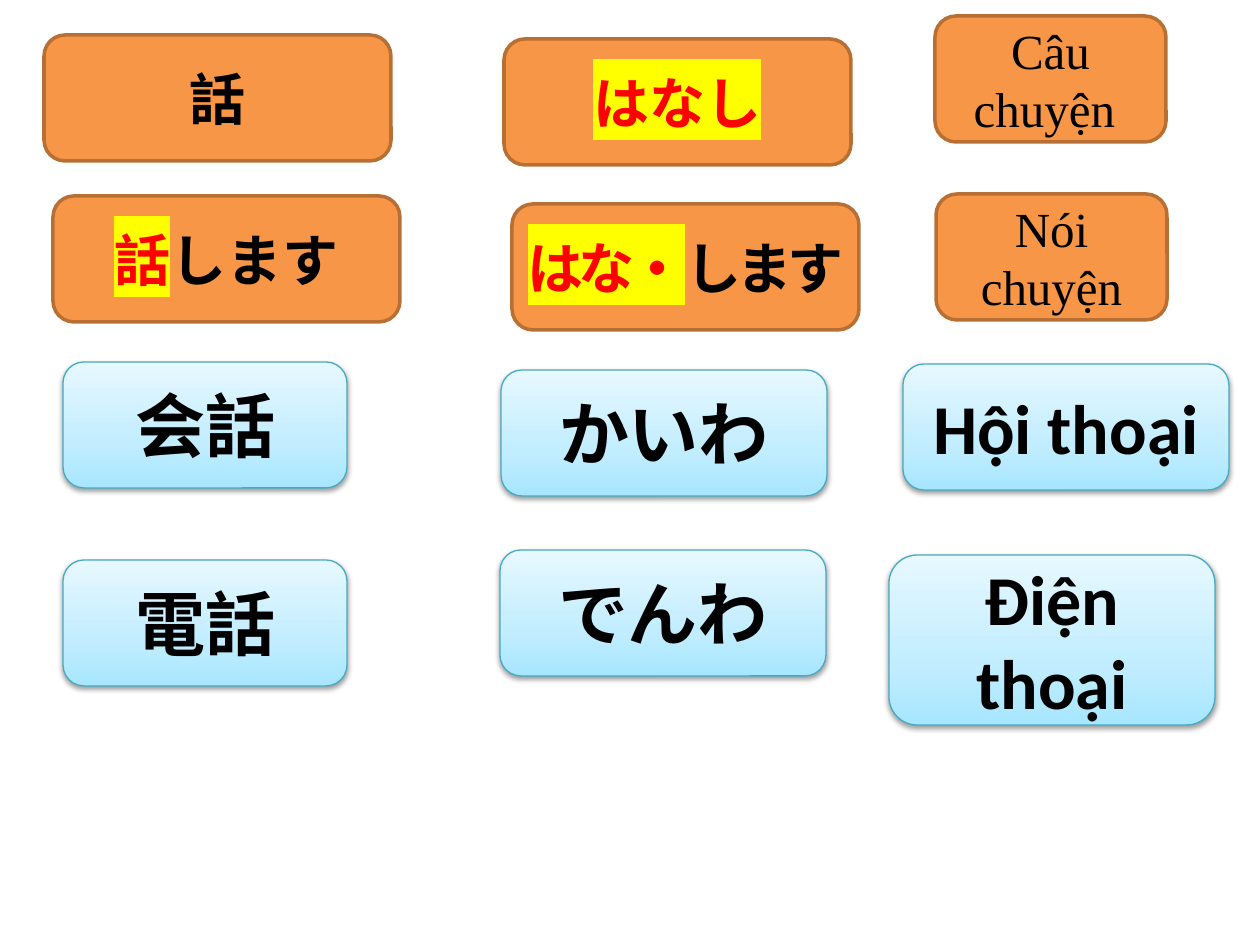
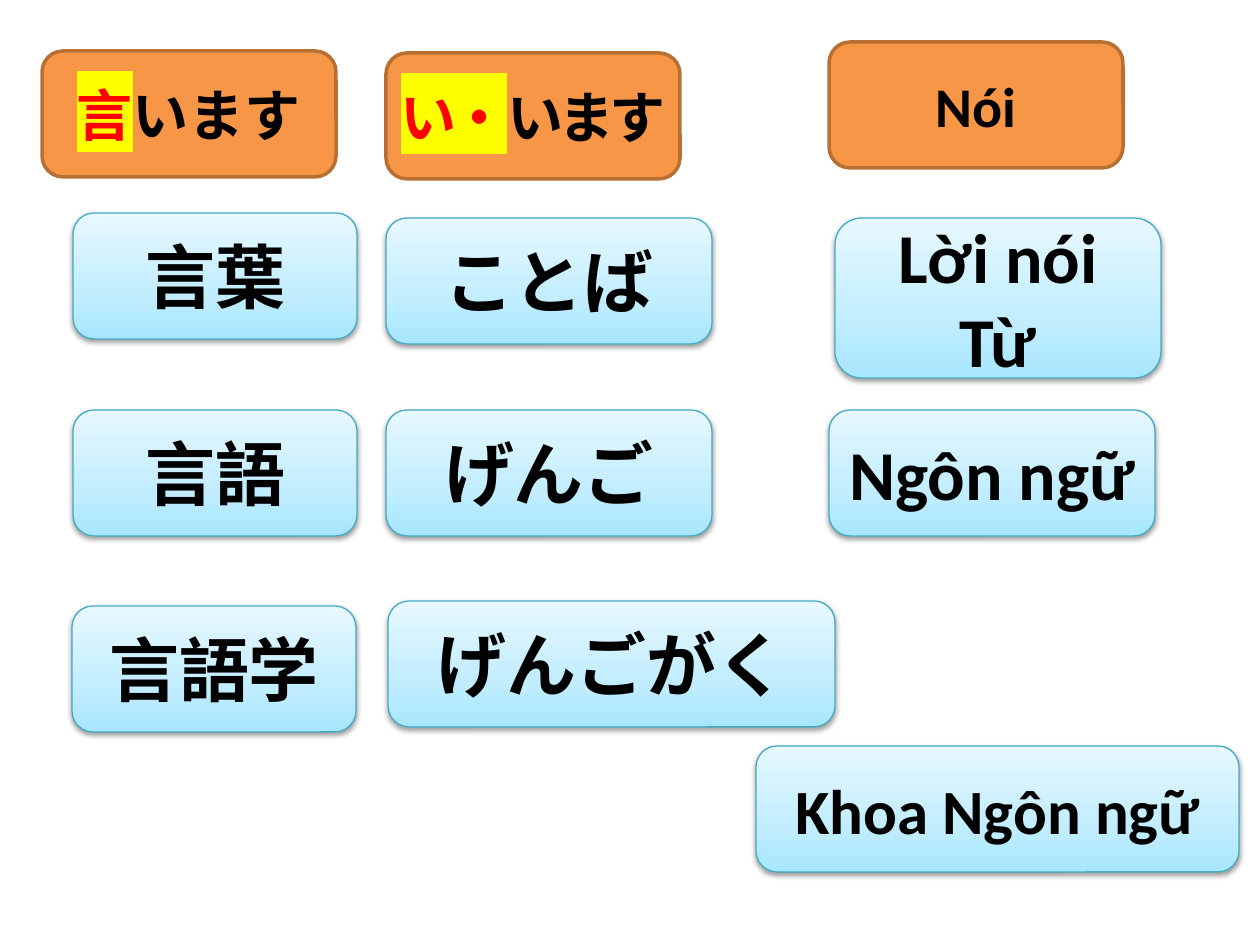
"""Builds two slides of Japanese vocabulary cards: kanji, reading and Vietnamese meaning."""
from copy import deepcopy

from lxml import etree
from pptx import Presentation
from pptx.dml.color import RGBColor
from pptx.enum.shapes import MSO_SHAPE
from pptx.enum.text import MSO_ANCHOR, PP_ALIGN
from pptx.oxml.ns import qn
from pptx.util import Emu, Pt

ROUNDED = MSO_SHAPE.ROUNDED_RECTANGLE
MIDDLE = MSO_ANCHOR.MIDDLE
CENTER = PP_ALIGN.CENTER

PX = 914400 / 126
CARD_HEIGHT = 126
SEPARATOR = "・"
TIGHT_SPACING = "-300"
BLACK, RED, YELLOW = "000000", "FF0000", "FFFF00"
ORANGE, ORANGE_LINE, BLUE_LINE = "F79646", "B76F34", "46AAC5"
BLUE_STOPS = [(0, "A7E6FF"), (0.35, "C1EDFF"), (1, "E7F8FF")]

STYLES = {
    "root": (False, "Calibri", 32, True),
    "gloss": (False, "Times New Roman", 28, False),
    "word": (True, "Calibri", 40, True),
    "long word": (True, "Calibri", 36, True),
}

SLIDES = [
    [
        ("root", 44, 35, 347, CARD_HEIGHT, "", "話"),
        ("root", 504, 39, 347, CARD_HEIGHT, "はなし", ""),
        ("gloss", 935, 16, 231, CARD_HEIGHT, "", "Câu chuyện "),
        ("root", 53, 196, 347, CARD_HEIGHT, "話", "します"),
        ("root", 512, 204, 347, CARD_HEIGHT, "はな・", "します"),
        ("gloss", 936, 194, 231, CARD_HEIGHT, "", "Nói\n chuyện "),
        ("word", 63, 362, 284, CARD_HEIGHT, "", "会話"),
        ("word", 501, 370, 326, CARD_HEIGHT, "", "かいわ"),
        ("word", 903, 364, 326, CARD_HEIGHT, "", "Hội thoại"),
        ("word", 63, 560, 284, CARD_HEIGHT, "", "電話"),
        ("word", 500, 550, 326, CARD_HEIGHT, "", "でんわ"),
        ("word", 889, 555, 326, 170, "", "Điện thoại"),
    ],
    [
        ("root", 42, 51, 294, CARD_HEIGHT, "言", "います"),
        ("root", 386, 53, 294, CARD_HEIGHT, "い・", "います"),
        ("root", 829, 42, 294, CARD_HEIGHT, "", "Nói"),
        ("word", 73, 213, 284, CARD_HEIGHT, "", "言葉"),
        ("word", 386, 218, 326, CARD_HEIGHT, "", "ことば"),
        ("word", 835, 218, 326, 160, "", "Lời nói\nTừ"),
        ("word", 73, 410, 284, CARD_HEIGHT, "", "言語"),
        ("word", 386, 410, 326, CARD_HEIGHT, "", "げんご"),
        ("word", 829, 410, 326, CARD_HEIGHT, "", "Ngôn ngữ"),
        ("word", 72, 606, 284, CARD_HEIGHT, "", "言語学"),
        ("word", 388, 601, 447, CARD_HEIGHT, "", "げんごがく"),
        ("long word", 756, 746, 483, CARD_HEIGHT, "", "Khoa Ngôn ngữ"),
    ],
]


def colour(hex_string):
    return RGBColor.from_string(hex_string)


def paint_card(shape, is_blue):
    shape.shadow.inherit = False
    shape.line.color.rgb = colour(BLUE_LINE if is_blue else ORANGE_LINE)
    shape.line.width = Pt(0.75 if is_blue else 2)
    if not is_blue:
        shape.fill.solid()
        shape.fill.fore_color.rgb = colour(ORANGE)
        return
    shape.fill.gradient()
    shape.fill.gradient_angle = 90
    properties = shape._element.spPr
    stop_list = properties.find(".//" + qn("a:gsLst"))
    stop_list.append(deepcopy(stop_list[0]))
    for stop, (position, hex_string) in zip(shape.fill.gradient_stops, BLUE_STOPS):
        stop.position = position
        stop.color.rgb = colour(hex_string)
    shadow = etree.SubElement(
        properties.find(qn("a:effectLst")), qn("a:outerShdw"),
        blurRad="40000", dist="20000", dir="5400000", rotWithShape="0")
    shadow_colour = etree.SubElement(shadow, qn("a:srgbClr"), val=BLACK)
    etree.SubElement(shadow_colour, qn("a:alpha"), val="38000")


presentation = Presentation()
presentation.slide_width = Emu(round(1260 * PX))
presentation.slide_height = Emu(round(945 * PX))

for cards in SLIDES:
    slide = presentation.slides.add_slide(presentation.slide_layouts[6])
    for style, left, top, width, height, highlighted, remaining in cards:
        is_blue, font_name, size, bold = STYLES[style]
        box = [Emu(round(length * PX)) for length in (left, top, width, height)]
        shape = slide.shapes.add_shape(ROUNDED, *box)
        paint_card(shape, is_blue)
        text_frame = shape.text_frame
        text_frame.word_wrap = True
        text_frame.vertical_anchor = MIDDLE
        has_separator = SEPARATOR in highlighted
        if has_separator:
            text_frame.margin_left = text_frame.margin_right = 0
        for index, line in enumerate(remaining.split("\n")):
            paragraph = text_frame.add_paragraph() if index else text_frame.paragraphs[0]
            paragraph.alignment = CENTER
            start = "" if index else highlighted
            for text, is_marked in ((start, True), (line, False)):
                if not text:
                    continue
                run = paragraph.add_run()
                run.text = text
                run.font.size = Pt(size)
                run.font.bold = bold
                run.font.color.rgb = colour(RED if is_marked else BLACK)
                if is_marked:
                    highlight = etree.SubElement(run.font._element, qn("a:highlight"))
                    etree.SubElement(highlight, qn("a:srgbClr"), val=YELLOW)
                if has_separator:
                    run.font._element.set("spc", TIGHT_SPACING)
                run.font.name = font_name

presentation.save("out.pptx")
